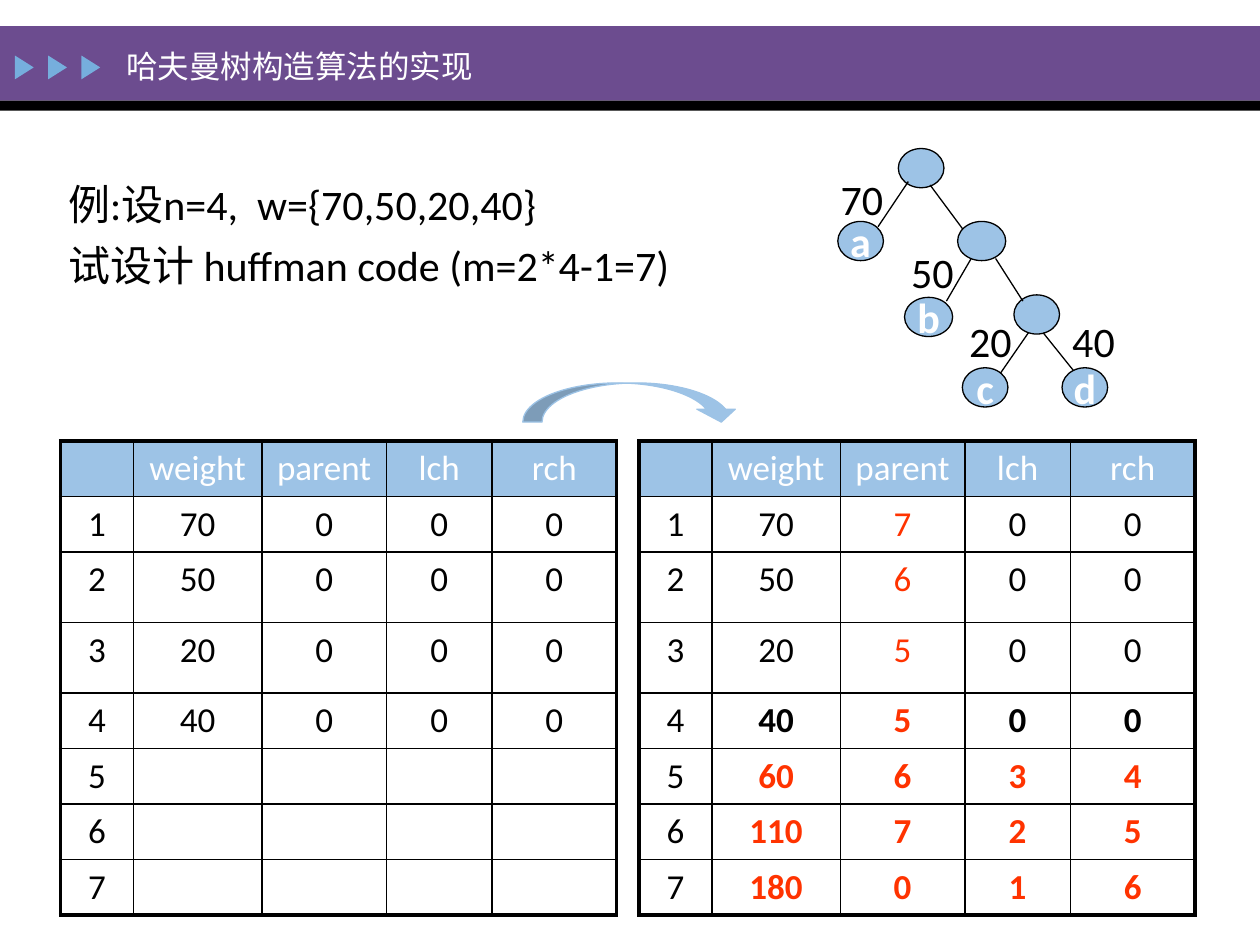
from dataclasses import dataclass

from lxml import etree
from pptx import Presentation
from pptx import util as u
from pptx.dml.color import RGBColor
from pptx.enum import shapes, text
from pptx.oxml import ns


@dataclass(frozen=True)
class Theme:
    font: str = "Calibri"
    purple: str = "6C4C8F"
    arrow_blue: str = "76AEDD"
    blue: str = "9DC3E6"
    black: str = "000000"
    white: str = "FFFFFF"
    red: str = "FF3300"
    title_size: int = 18
    text_size: int = 24
    table_size: int = 20
    thin: float = 0.75
    inner: float = 1
    outer: float = 2.25


def write(frame, content, size, color, font, bold=False, align=None,
          line_spacing=None, gap=0):
    """Fill a text frame, one paragraph for each line of content."""
    for index, line in enumerate(content.split("\n")):
        para = frame.paragraphs[0] if index == 0 else frame.add_paragraph()
        properties = para._p.get_or_add_pPr()
        properties.set("marL", "0")
        properties.set("indent", "0")
        para.alignment = align
        para.line_spacing = line_spacing
        para.space_before = u.Pt(gap if index else 0)
        etree.SubElement(properties, ns.qn("a:buNone"))
        span = para.add_run()
        span.text = line
        span.font.name = font
        span.font.size = u.Pt(size)
        span.font.bold = bold
        span.font.color.rgb = RGBColor.from_string(color)


class SlideBuilder:
    def __init__(self, page, theme):
        self.page = page
        self.theme = theme

    def placeholder(self, index, left, top, width, height, content, **style):
        box = self.page.placeholders[index]
        box.left, box.top, box.width, box.height = map(
            u.Cm, (left, top, width, height))
        frame = box.text_frame
        frame.auto_size = text.MSO_AUTO_SIZE.NONE
        write(frame, content, font=self.theme.font,
              align=text.PP_ALIGN.LEFT, **style)
        box.element.getparent().append(box.element)  # in front of the bars
        return frame

    def shape(self, kind, left, top, width, height, fill, line=None):
        shape = self.page.shapes.add_shape(
            kind, *map(u.Cm, (left, top, width, height)))
        shape.shadow.inherit = False
        shape.fill.solid()
        shape.fill.fore_color.rgb = RGBColor.from_string(fill)
        if line:
            shape.line.color.rgb = RGBColor.from_string(line)
            shape.line.width = u.Pt(self.theme.thin)
        else:
            shape.line.fill.background()
        return shape

    def centred(self, frame, content, **style):
        frame.word_wrap = False
        frame.vertical_anchor = text.MSO_ANCHOR.MIDDLE
        write(frame, content, self.theme.text_size, font=self.theme.font,
              align=text.PP_ALIGN.CENTER, **style)

    def node(self, x, y, width, letter):
        height = 0.79
        oval = self.shape(shapes.MSO_SHAPE.OVAL, x - width / 2, y - height / 2,
                          width, height, self.theme.blue, self.theme.black)
        if letter:
            self.centred(oval.text_frame, letter,
                         color=self.theme.white, bold=True)

    def weight(self, left, top, content):
        box = self.page.shapes.add_textbox(
            *map(u.Cm, (left, top, 1.37, 1.3)))
        self.centred(box.text_frame, content, color=self.theme.black)

    def edge(self, *ends):
        line = self.page.shapes.add_connector(
            shapes.MSO_CONNECTOR.STRAIGHT, *map(u.Cm, ends))
        line.line.color.rgb = RGBColor.from_string(self.theme.black)
        line.line.width = u.Pt(self.theme.thin)
        etree.SubElement(line._element.spPr, ns.qn("a:effectLst"))

    def border(self, cell, side, width):
        line = etree.SubElement(cell._tc.get_or_add_tcPr(),
                                ns.qn("a:ln" + side), w=str(u.Pt(width)))
        fill = etree.SubElement(line, ns.qn("a:solidFill"))
        etree.SubElement(fill, ns.qn("a:srgbClr"), val=self.theme.black)

    def table(self, left, top, widths, heights, rows, style_of):
        theme = self.theme
        table = self.page.shapes.add_table(
            len(rows), len(widths), u.Cm(left), u.Cm(top),
            u.Cm(sum(widths)), u.Cm(sum(heights))).table
        table.first_row = table.horz_banding = False
        for column, width in zip(table.columns, widths):
            column.width = u.Cm(width)
        for row, height in zip(table.rows, heights):
            row.height = u.Cm(height)
        for r, values in enumerate(rows):
            for c, value in enumerate(values):
                cell = table.cell(r, c)
                outside = {"L": c == 0, "R": c == len(widths) - 1,
                           "T": r == 0, "B": r == len(rows) - 1}
                for side, is_outer in outside.items():
                    self.border(cell, side,
                                theme.outer if is_outer else theme.inner)
                cell.fill.solid()
                cell.fill.fore_color.rgb = RGBColor.from_string(
                    theme.white if r else theme.blue)
                if value:
                    write(cell.text_frame, value, theme.table_size,
                          font=theme.font, align=text.PP_ALIGN.CENTER,
                          **style_of(r, c))


HEADER = ["", "weight", "parent", "lch", "rch"]
BEFORE = [HEADER] + [[str(n), w, "0", "0", "0"] for n, w in
                     enumerate(["70", "50", "20", "40"], 1)]
BEFORE += [[str(n), "", "", "", ""] for n in (5, 6, 7)]
AFTER = [HEADER] + [row.split() for row in (
    "1 70 7 0 0", "2 50 6 0 0", "3 20 5 0 0", "4 40 5 0 0",
    "5 60 6 3 4", "6 110 7 2 5", "7 180 0 1 6")]
COLUMN_WIDTHS = [1.47, 2.59, 2.51, 2.13, 2.51]
ROW_HEIGHTS = [1.1, 1.1, 1.42, 1.42] + [1.1] * 4

# Centre x, centre y, width, letter
NODES = [(18.57, 3.39, 0.92, ""), (17.35, 4.86, 0.92, "a"),
         (19.79, 4.86, 0.97, ""), (18.72, 6.39, 0.97, "b"),
         (20.9, 6.34, 0.92, ""), (19.86, 7.81, 0.92, "c"),
         (21.87, 7.81, 0.92, "d")]
WEIGHTS = [(16.69, 3.35, "70"), (18.11, 4.83, "50"),
           (19.28, 6.22, "20"), (21.36, 6.22, "40")]
EDGES = [(18.31, 3.66, 17.7, 4.57), (18.75, 3.73, 19.41, 4.62),
         (19.58, 5.21, 19.08, 6.07), (20.07, 5.21, 20.62, 6.07),
         (20.73, 6.71, 20.17, 7.52), (21.03, 6.71, 21.64, 7.47)]


def main():
    theme = Theme()
    deck = Presentation()
    deck.slide_width, deck.slide_height = u.Cm(25.4), u.Cm(19.05)
    builder = SlideBuilder(deck.slides.add_slide(deck.slide_layouts[1]), theme)
    kinds = shapes.MSO_SHAPE

    # Title band
    builder.shape(kinds.RECTANGLE, 0, 0.53, 25.4, 1.5, theme.purple)
    builder.shape(kinds.RECTANGLE, 0, 2.03, 25.4, 0.2, theme.black)
    for index in range(3):
        triangle = builder.shape(kinds.ISOSCELES_TRIANGLE, 0.25 + 0.67 * index,
                                 1.17, 0.48, 0.38, theme.arrow_blue)
        triangle.rotation = 90
    title = builder.placeholder(0, 2.29, 0.61, 18.29, 1.42,
                                "哈夫曼树构造算法的实现",
                                size=theme.title_size, color=theme.white)
    title.vertical_anchor = text.MSO_ANCHOR.MIDDLE

    # Example
    builder.placeholder(1, 1.12, 3.66, 13.06, 2.57,
                        "例:设n=4,  w={70,50,20,40}\n"
                        "试设计 huffman code (m=2*4-1=7)",
                        size=theme.text_size, color=theme.black,
                        line_spacing=0.8, gap=12)

    # Tables before and after; changed values are red
    def before_style(r, c):
        return {"color": theme.black if r else theme.white}

    def after_style(r, c):
        changed = AFTER[r][c] != BEFORE[r][c]
        return {"color": theme.red if changed else before_style(r, c)["color"],
                "bold": r >= 4 and c > 0}

    for left, rows, style in ((1.22, BEFORE, before_style),
                              (12.88, AFTER, after_style)):
        builder.table(left, 8.89, COLUMN_WIDTHS, ROW_HEIGHTS, rows, style)

    # Huffman tree
    for node in NODES:
        builder.node(*node)
    for weight in WEIGHTS:
        builder.weight(*weight)
    for edge in EDGES:
        builder.edge(*edge)

    # Arrow from one table to the other
    arrow = builder.shape(kinds.CURVED_DOWN_ARROW, 10.54, 7.72, 4.39, 0.79,
                          theme.blue, theme.blue)
    for index, value in enumerate((0.49, 0.98, 0.33)):
        arrow.adjustments[index] = value

    deck.save("out.pptx")


if __name__ == "__main__":
    main()
